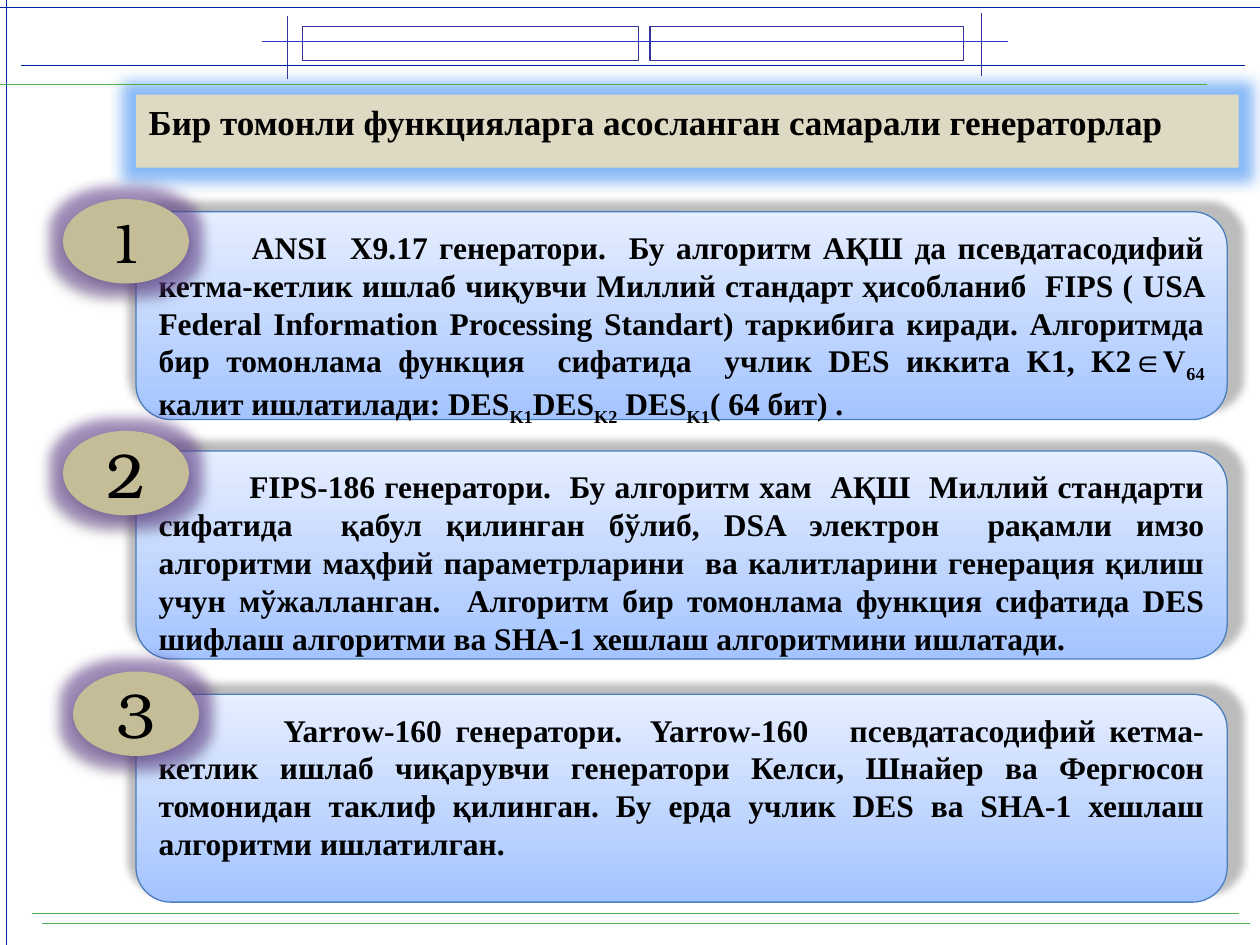
from lxml import etree
from pptx import Presentation
from pptx.dml.color import RGBColor
from pptx.enum import shapes, text
from pptx.oxml import ns
from pptx.util import Inches, Pt

BLACK = RGBColor(0x00, 0x00, 0x00)
TAN = RGBColor(0xC4, 0xBD, 0x97)
SAND = RGBColor(0xDD, 0xD9, 0xC3)
CARD_TOP = RGBColor(0xE6, 0xEE, 0xFF)
CARD_BOTTOM = RGBColor(0xA4, 0xC4, 0xFF)
CARD_EDGE = RGBColor(0x4B, 0x7E, 0xBC)
INDIGO = RGBColor(0x33, 0x33, 0x99)
VIOLET = RGBColor(0x33, 0x33, 0xCC)
NAVY = RGBColor(0x00, 0x26, 0xA0)
GREEN = RGBColor(0x4C, 0xB0, 0x50)
SHADOW_GREY = RGBColor(0x59, 0x59, 0x59)
GLOW_BLUE = RGBColor(0x3C, 0x8C, 0xF0)
GLOW_PURPLE = RGBColor(0x70, 0x48, 0xA0)

BODY_FONT = "Times New Roman"
NUMBER_FONT = "TeX Gyre Bonum"

TITLE = "Бир томонли функцияларга асосланган самарали генераторлар"

# Spans alternate between normal text and subscript.
CARDS = [
    dict(top=1.68, indent=0.74, badge=(0.5, 1.58), number_size=32, spans=[
        "ANSI  X9.17 генератори.  Бу алгоритм АҚШ да псевдатасодифий "
        "кетма-кетлик ишлаб чиқувчи Миллий стандарт ҳисобланиб  FIPS ( USA "
        "Federal Information Processing Standart) таркибига киради. Алгоритмда "
        "бир томонлама функция  сифатида  учлик DES иккита K1, K2∈V",
        "64", " калит ишлатилади: DES", "K1", "DES", "K2", " DES", "K1",
        "( 64 бит) ."]),
    dict(top=3.58, indent=0.72, badge=(0.5, 3.42), number_size=36, spans=[
        "FIPS-186 генератори.  Бу алгоритм хам  АҚШ  Миллий стандарти "
        "сифатида  қабул қилинган бўлиб, DSA электрон  рақамли имзо алгоритми "
        "маҳфий параметрларини  ва калитларини генерация қилиш учун "
        "мўжалланган.  Алгоритм бир томонлама функция сифатида DES шифлаш "
        "алгоритми ва SHA-1 хешлаш алгоритмини ишлатади."]),
    dict(top=5.51, indent=0.99, badge=(0.58, 5.33), number_size=36, spans=[
        "Yarrow-160 генератори.  Yarrow-160   псевдатасодифий кетма-кетлик "
        "ишлаб чиқарувчи генератори Келси, Шнайер ва Фергюсон томонидан "
        "таклиф қилинган. Бу ерда учлик DES ва SHA-1 хешлаш алгоритми "
        "ишлатилган."]),
]

FRAMES = [(2.4, 0.21, 2.67, 0.27), (5.16, 0.21, 2.49, 0.27)]
RULES = [  # from x, y, to x, y, colour
    (7.79, 0.1, 7.79, 0.6, INDIGO),
    (2.28, 0.13, 2.28, 0.63, INDIGO),
    (0.05, 0, 0.05, 7.5, NAVY),
    (0, 0.06, 10, 0.06, NAVY),
    (0.17, 0.52, 9.88, 0.52, NAVY),
    (0.25, 7.25, 9.83, 7.25, GREEN),
    (0, 0.67, 9.58, 0.67, GREEN),
    (0.33, 7.33, 9.92, 7.33, GREEN),
    (2.08, 0.33, 8, 0.33, VIOLET),
]


def add_effect(shape, tag, color, alpha, **attributes):
    """Append a glow or shadow; a glow has to come before a shadow."""
    effects = shape._element.spPr.find(ns.qn("a:effectLst"))
    effect = etree.SubElement(effects, ns.qn(tag))
    for name, value in attributes.items():
        effect.set(name, str(value))
    shade = etree.SubElement(effect, ns.qn("a:srgbClr"), val=str(color))
    etree.SubElement(shade, ns.qn("a:alpha"), val=str(alpha * 1000))


def add_box(page, kind, left, top, width, height):
    box = page.shapes.add_shape(
        kind, Inches(left), Inches(top), Inches(width), Inches(height))
    box.shadow.inherit = False
    return box


def style_font(font, name, size, bold):
    font.name = name
    font.size = Pt(size)
    font.bold = bold
    font.color.rgb = BLACK


def add_title(page):
    title = page.shapes.title
    title.left, title.top = Inches(1.08), Inches(0.75)
    title.width, title.height = Inches(8.75), Inches(0.58)
    title.fill.solid()
    title.fill.fore_color.rgb = SAND
    title.shadow.inherit = False
    add_effect(title, "a:glow", GLOW_BLUE, 60, rad=Pt(16))
    frame = title.text_frame
    frame.text = TITLE
    frame.word_wrap = True
    frame.auto_size = text.MSO_AUTO_SIZE.NONE
    frame.vertical_anchor = text.MSO_ANCHOR.TOP
    para = frame.paragraphs[0]
    para.alignment = text.PP_ALIGN.LEFT
    style_font(para.runs[0].font, BODY_FONT, 20, True)


def add_card(page, card):
    box = add_box(page, shapes.MSO_SHAPE.ROUNDED_RECTANGLE,
                  1.08, card["top"], 8.66, 1.65)
    box.fill.gradient()
    box.fill.gradient_angle = 90
    for stop, color in zip(box.fill.gradient_stops, (CARD_BOTTOM, CARD_TOP)):
        stop.color.rgb = color
    box.line.color.rgb = CARD_EDGE
    box.line.width = Pt(0.75)
    add_effect(box, "a:outerShdw", SHADOW_GREY, 40, blurRad=Pt(4), dist=Pt(7),
               dir=233 * 60000, sx=102000, algn="bl", rotWithShape=0)
    frame = box.text_frame
    frame.word_wrap = True
    frame.vertical_anchor = text.MSO_ANCHOR.TOP
    para = frame.paragraphs[0]
    para.alignment = text.PP_ALIGN.JUSTIFY
    para._p.get_or_add_pPr().set("indent", str(Inches(card["indent"])))
    for position, words in enumerate(card["spans"]):
        span = para.add_run()
        span.text = words
        style_font(span.font, BODY_FONT, 18, True)
        if position % 2:
            span._r.get_or_add_rPr().set("baseline", "-25000")


def add_badge(page, number, card):
    badge = add_box(page, shapes.MSO_SHAPE.OVAL, *card["badge"], 1, 0.67)
    badge.fill.solid()
    badge.fill.fore_color.rgb = TAN
    badge.line.fill.background()
    add_effect(badge, "a:glow", GLOW_PURPLE, 50, rad=Pt(14))
    add_effect(badge, "a:outerShdw", BLACK, 43, blurRad=Pt(5), dist=Pt(2),
               dir=90 * 60000, rotWithShape=0)
    frame = badge.text_frame
    frame.text = str(number)
    frame.vertical_anchor = text.MSO_ANCHOR.MIDDLE
    para = frame.paragraphs[0]
    para.alignment = text.PP_ALIGN.CENTER
    style_font(para.runs[0].font, NUMBER_FONT, card["number_size"], False)


def add_frame(page, place):
    box = add_box(page, shapes.MSO_SHAPE.RECTANGLE, *place)
    box.fill.background()
    box.line.color.rgb = INDIGO
    box.line.width = Pt(0.75)


def add_rule(page, x1, y1, x2, y2, color):
    rule = page.shapes.add_connector(
        shapes.MSO_CONNECTOR.STRAIGHT, *map(Inches, (x1, y1, x2, y2)))
    rule.line.color.rgb = color
    rule.line.width = Pt(0.75)
    etree.SubElement(rule._element.spPr, ns.qn("a:effectLst"))


def main():
    deck = Presentation()
    deck.slide_width, deck.slide_height = Inches(10), Inches(7.5)
    page = deck.slides.add_slide(deck.slide_layouts[5])
    add_title(page)
    for card in CARDS:
        add_card(page, card)
    for place in FRAMES:
        add_frame(page, place)
    for rule in RULES:
        add_rule(page, *rule)
    for number, card in enumerate(CARDS, start=1):
        add_badge(page, number, card)
    deck.save("out.pptx")


if __name__ == "__main__":
    main()
